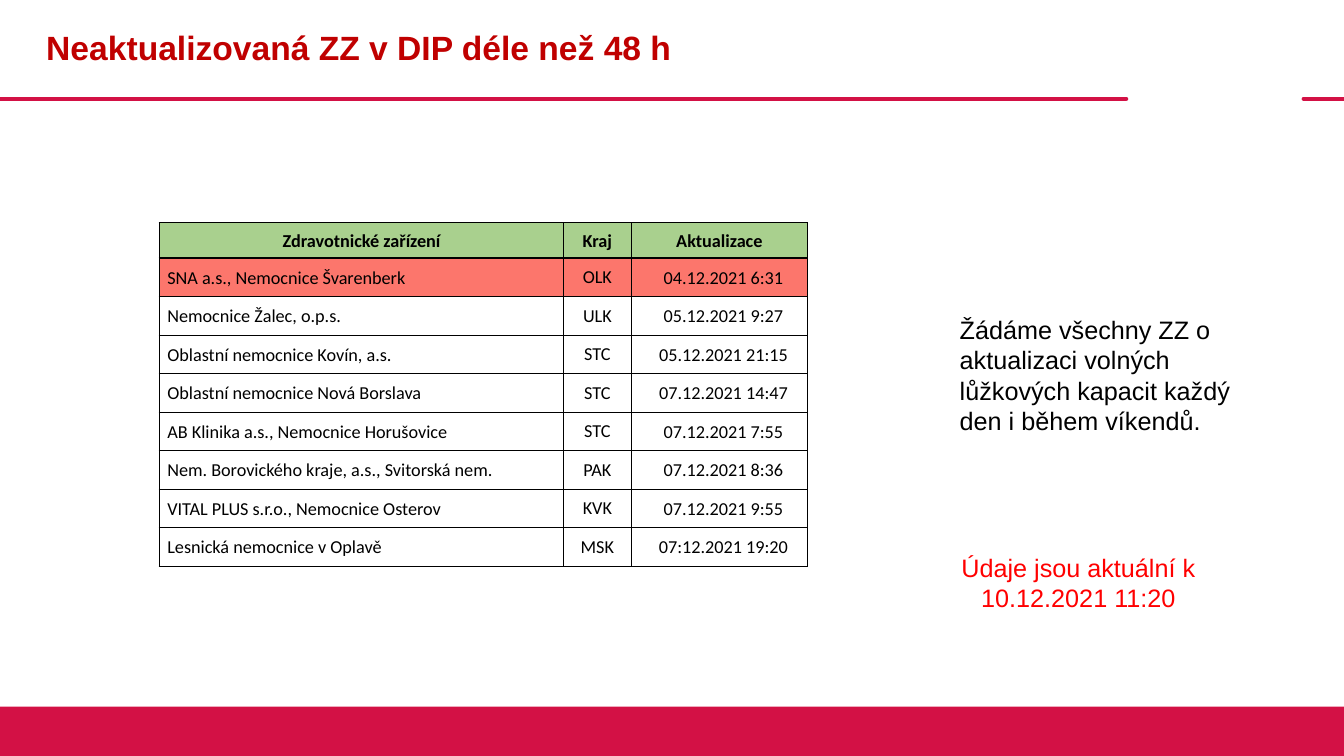
"""Build the slide listing facilities not updated for over 48 hours."""
from lxml import etree
from pptx import Presentation
from pptx.dml.color import RGBColor
from pptx.enum.shapes import MSO_CONNECTOR, MSO_SHAPE
from pptx.enum.text import MSO_ANCHOR, PP_ALIGN
from pptx.oxml.ns import qn
from pptx.util import Inches, Pt

LEFT, CENTER = PP_ALIGN.LEFT, PP_ALIGN.CENTER
TOP, MIDDLE = MSO_ANCHOR.TOP, MSO_ANCHOR.MIDDLE
STRAIGHT, RECT = MSO_CONNECTOR.STRAIGHT, MSO_SHAPE.RECTANGLE

CRIMSON = RGBColor(0xD3, 0x11, 0x45)
DARK = RGBColor(0xC0, 0, 0)
RED = RGBColor(0xFF, 0, 0)
BLACK = RGBColor(0, 0, 0)
WHITE = RGBColor(0xFF, 0xFF, 0xFF)
GREEN = RGBColor(0xA9, 0xD0, 0x8E)
CORAL = RGBColor(0xFC, 0x76, 0x6C)

WIDTH, HEIGHT = 13.33, 7.5
RULES = [(0, 11.17), (12.93, WIDTH)]
RULE_Y = 0.98
BAND_Y = 7.01

TEXTS = [
    ("Neaktualizovaná ZZ v DIP déle než 48 h",
     (0.36, 0, 10.81, 0.98), 24, DARK, True, LEFT, MIDDLE, 0.9),
    ("Údaje jsou aktuální k 10.12.2021 11:20",
     (9.42, 5.43, 2.55, 0.71), 18, RED, False, CENTER, TOP, 1.0),
    ("Žádáme všechny ZZ o aktualizaci volných lůžkových kapacit každý "
     "den i během víkendů.",
     (9.42, 3.07, 2.99, 1.31), 18, BLACK, False, LEFT, TOP, 1.0),
]

ROWS = [
    ("Zdravotnické zařízení", "Kraj", "Aktualizace"),
    ("SNA a.s., Nemocnice Švarenberk", "OLK", "04.12.2021 6:31"),
    ("Nemocnice Žalec, o.p.s.", "ULK", "05.12.2021 9:27"),
    ("Oblastní nemocnice Kovín, a.s.", "STC", "05.12.2021 21:15"),
    ("Oblastní nemocnice Nová Borslava", "STC", "07.12.2021 14:47"),
    ("AB Klinika a.s., Nemocnice Horušovice", "STC", "07.12.2021 7:55"),
    ("Nem. Borovického kraje, a.s., Svitorská nem.", "PAK", "07.12.2021 8:36"),
    ("VITAL PLUS s.r.o., Nemocnice Osterov", "KVK", "07.12.2021 9:55"),
    ("Lesnická nemocnice v Oplavě", "MSK", "07:12.2021 19:20"),
]
COLS = [4.01, 0.67, 1.75]
GRID = (1.58, 2.21, sum(COLS), 3.41)
HEAD = 0.35
HEAD_PAD = (0.01, 0.01, 0.01, 0)
PADS = [(0.08, 0.01, 0.01, 0), (0.01, 0.08, 0.01, 0.08), (0.09, 0.01, 0.01, 0)]
FILLS = {0: GREEN, 1: CORAL}


def style(par, font, size, color, bold, align):
    par.alignment = align
    face = par.runs[0].font
    face.name, face.size, face.bold = font, Pt(size), bold
    face.color.rgb = color


def add_rule(slide, start, end):
    y = Inches(RULE_Y)
    rule = slide.shapes.add_connector(STRAIGHT, Inches(start), y, Inches(end), y)
    rule.line.color.rgb = CRIMSON
    rule.line.width = Pt(3)
    rule.line._get_or_add_ln().set("cap", "rnd")
    etree.SubElement(rule._element.spPr, qn("a:effectLst"))


def add_band(slide):
    band = slide.shapes.add_shape(
        RECT, 0, Inches(BAND_Y), Inches(WIDTH), Inches(HEIGHT - BAND_Y))
    band.shadow.inherit = False
    band.fill.solid()
    band.fill.fore_color.rgb = CRIMSON
    band.line.fill.background()


def add_text(slide, text, area, size, color, bold, align, anchor, lead):
    frame = slide.shapes.add_textbox(*map(Inches, area)).text_frame
    frame.word_wrap = True
    frame.vertical_anchor = anchor
    frame.text = text
    par = frame.paragraphs[0]
    par.line_spacing = lead
    style(par, "Arial", size, color, bold, align)


def add_edges(cell, widths):
    props = cell._tc.get_or_add_tcPr()
    for side, width in zip("LRTB", widths):
        edge = etree.SubElement(props, qn(f"a:ln{side}"), w=str(Pt(width)))
        fill = etree.SubElement(edge, qn("a:solidFill"))
        etree.SubElement(fill, qn("a:srgbClr"), val=str(BLACK))


def fill_cell(cell, text, row, col):
    head = row == 0
    pad = HEAD_PAD if head else PADS[col]
    (cell.margin_left, cell.margin_top,
     cell.margin_right, cell.margin_bottom) = map(Inches, pad)
    cell.vertical_anchor = MIDDLE
    add_edges(cell, (1, 1, 1 if row < 2 else 0.5, 1 if head else 0.5))
    cell.fill.solid()
    cell.fill.fore_color.rgb = FILLS.get(row, WHITE)
    cell.text = text
    align = CENTER if head or col else LEFT
    style(cell.text_frame.paragraphs[0], "Calibri", 13, BLACK, head, align)


def add_grid(slide):
    table = slide.shapes.add_table(
        len(ROWS), len(COLS), *map(Inches, GRID)).table
    for col, width in zip(table.columns, COLS):
        col.width = Inches(width)
    step = (GRID[3] - HEAD) / (len(ROWS) - 1)
    for r, texts in enumerate(ROWS):
        table.rows[r].height = Inches(step if r else HEAD)
        for c, text in enumerate(texts):
            fill_cell(table.cell(r, c), text, r, c)


def main():
    deck = Presentation()
    deck.slide_width, deck.slide_height = Inches(WIDTH), Inches(HEIGHT)
    slide = deck.slides.add_slide(deck.slide_layouts[6])
    for start, end in RULES:
        add_rule(slide, start, end)
    add_band(slide)
    for item in TEXTS:
        add_text(slide, *item)
    add_grid(slide)
    deck.save("out.pptx")


if __name__ == "__main__":
    main()
